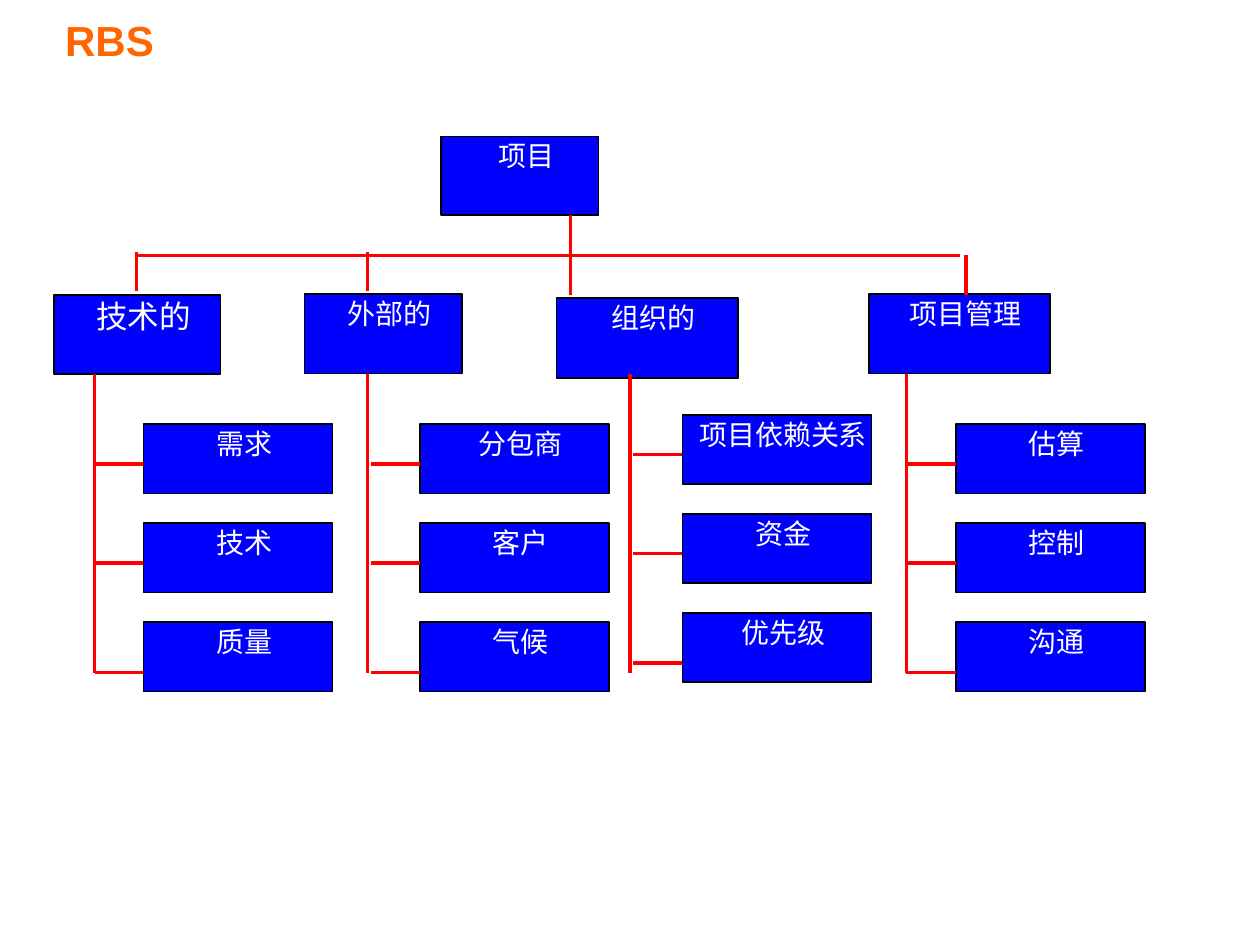
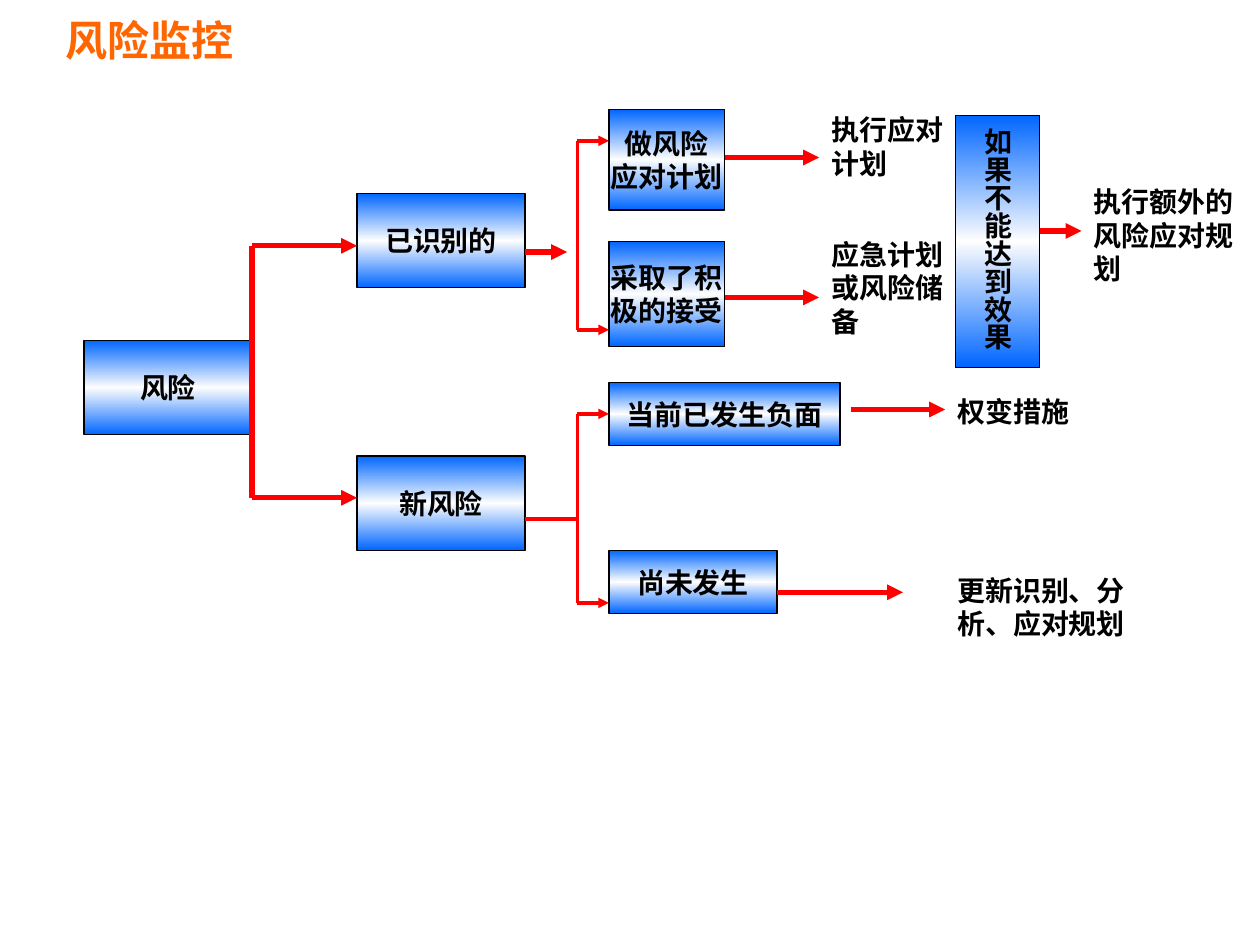
from copy import deepcopy
from dataclasses import dataclass

from lxml import etree
from pptx import Presentation
from pptx import util as u
from pptx.dml import color
from pptx.enum import shapes, text
from pptx.oxml import ns


@dataclass(frozen=True)
class Theme:
    """Colours, font and sizes shared by the slides."""
    title: color.RGBColor = color.RGBColor(0xFF, 0x66, 0x00)
    node: color.RGBColor = color.RGBColor(0x00, 0x00, 0xFF)
    edge: color.RGBColor = color.RGBColor(0x00, 0x66, 0xFF)
    glow: color.RGBColor = color.RGBColor(0xFE, 0xFE, 0xFE)
    link: color.RGBColor = color.RGBColor(0xFF, 0x00, 0x00)
    black: color.RGBColor = color.RGBColor(0x00, 0x00, 0x00)
    white: color.RGBColor = color.RGBColor(0xFF, 0xFF, 0xFF)
    font: str = "Arial"
    title_size: float = 24
    large_size: float = 18
    body_size: float = 16
    thin: float = 2
    thick: float = 3


T = Theme()
CENTER, LEFT = text.PP_ALIGN.CENTER, text.PP_ALIGN.LEFT
TOP, MIDDLE = text.MSO_ANCHOR.TOP, text.MSO_ANCHOR.MIDDLE
NODE_FRAME = dict(word_wrap=True, vertical_anchor=TOP, margin_left=u.Pt(8.6),
                  margin_top=u.Pt(1.4), margin_right=u.Pt(1.4), margin_bottom=u.Pt(1.4))
STEP_FRAME = dict(word_wrap=False, vertical_anchor=MIDDLE)
LABEL_FRAME = dict(word_wrap=True, auto_size=text.MSO_AUTO_SIZE.SHAPE_TO_FIT_TEXT)
TITLE_FRAME = dict(word_wrap=True, vertical_anchor=MIDDLE,
                   auto_size=text.MSO_AUTO_SIZE.NONE)


def apply(obj, values):
    """Set each attribute named in values on obj."""
    for name, value in values.items():
        setattr(obj, name, value)


def pts(*lengths):
    """Convert numbers to point lengths."""
    return [u.Pt(n) for n in lengths]


def write(sp, words, frame, ink, size=T.body_size, bold=False, align=LEFT):
    """Fill a shape with formatted text."""
    tf = sp.text_frame
    tf.text = words
    apply(tf, frame)
    for p in tf.paragraphs:
        p.alignment = align
        for r in p.runs:
            apply(r.font, dict(name=T.font, size=u.Pt(size), bold=bold))
            r.font.color.rgb = ink


def add_slide(prs, heading):
    """Add a slide with the shared title style."""
    slide = prs.slides.add_slide(prs.slide_layouts[5])
    sp = slide.shapes.title
    apply(sp, dict(zip(("left", "top", "width", "height"), pts(30, 0, 330, 45))))
    write(sp, heading, TITLE_FRAME, T.title, T.title_size, True)
    return slide


def add_box(slide, box, weight):
    """Add an outlined rectangle without a shadow."""
    sp = slide.shapes.add_shape(shapes.MSO_SHAPE.RECTANGLE, *pts(*box))
    sp.shadow.inherit = False
    sp.line.color.rgb = T.black
    sp.line.width = u.Pt(weight)
    return sp


def add_node(slide, words, box, size=T.body_size):
    """Add a solid node of the breakdown tree."""
    sp = add_box(slide, box, 1)
    sp.fill.solid()
    sp.fill.fore_color.rgb = T.node
    write(sp, words, NODE_FRAME, T.white, size, align=CENTER)


def add_step(slide, words, box, vertical=False):
    """Add a gradient step of the risk flow."""
    sp = add_box(slide, box, 0.75)
    fill = sp.fill
    fill.gradient()
    fill.gradient_angle = 90
    gs_list = sp._element.spPr.find(".//" + ns.qn("a:gsLst"))
    gs_list.insert(1, deepcopy(gs_list[0]))
    for stop, position, rgb in zip(fill.gradient_stops, (0, 0.5, 1), (T.edge, T.glow, T.edge)):
        stop.position = position
        stop.color.rgb = rgb
    write(sp, words, STEP_FRAME, T.black, bold=True, align=CENTER)
    if vertical:
        sp.text_frame._txBody.bodyPr.set("vert", "eaVert")


def add_label(slide, words, box):
    """Add a bold outcome label."""
    sp = slide.shapes.add_textbox(*pts(*box))
    write(sp, words, LABEL_FRAME, T.black, bold=True)


def add_line(slide, x1, y1, x2, y2, weight=T.thin, arrow=False):
    """Add a straight link, with an arrowhead if wanted."""
    sp = slide.shapes.add_connector(shapes.MSO_CONNECTOR.STRAIGHT, *pts(x1, y1, x2, y2))
    sp.line.color.rgb = T.link
    sp.line.width = u.Pt(weight)
    if arrow:
        etree.SubElement(sp.line._get_or_add_ln(), ns.qn("a:tailEnd"), type="triangle")
    etree.SubElement(sp._element.spPr, ns.qn("a:effectLst"))


def add_fork(slide, x, target, heights, weight):
    """Add a vertical spine with an arrow at each end."""
    add_line(slide, x, heights[0], x, heights[1], weight)
    for y in heights:
        add_line(slide, x, y, target, y, weight, True)


def add_branch(slide, head, head_box, size, trunk, stub, leaf_x, leaf_y, leaves):
    """Add a branch head with its trunk, stubs and leaves."""
    add_node(slide, head, head_box, size)
    for i, (words, drop) in enumerate(zip(leaves, (22.7, 22.7, 28.7))):
        y = leaf_y + i * 56.6
        add_node(slide, words, (leaf_x, y, 108, 39.6))
        add_line(slide, stub, y + drop, leaf_x, y + drop)
    add_line(slide, trunk, 214, trunk, 384.3)


def build_breakdown(prs):
    """Build the risk breakdown structure."""
    slide = add_slide(prs, "RBS")
    add_node(slide, "项目", (252, 78, 90, 45))
    branches = (
        ("技术的", (31, 168.5, 95, 45.4), T.large_size, 54, 54, 82, 242.4,
         ("需求", "技术", "质量")),
        ("外部的", (174, 168, 90, 45.4), T.body_size, 210, 212, 240, 242.4,
         ("分包商", "客户", "气候")),
        ("组织的", (318, 170.5, 103.6, 45.4), T.body_size, 360, 362, 390, 237,
         ("项目依赖关系", "资金", "优先级")),
        ("项目管理", (496.5, 168, 103.6, 45.4), T.body_size, 518, 518, 546.3, 242.4,
         ("估算", "控制", "沟通")),
    )
    for branch in branches:
        add_branch(slide, *branch)
    add_line(slide, 78, 146, 548.5, 146)
    for x, top, bottom in ((78, 144, 166.5), (210, 144, 166.5),
                           (326, 123, 168.5), (552, 146, 168.5)):
        add_line(slide, x, top, x, bottom)


def build_monitoring(prs):
    """Build the risk monitoring flow."""
    slide = add_slide(prs, "风险监控")
    for words, box in (
        ("风险", (48, 194.5, 96, 54)),
        ("已识别的", (204, 110.5, 96, 54)),
        ("新风险", (204, 260.5, 96, 54)),
        ("做风险\n应对计划", (348, 62.5, 66, 57.5)),
        ("采取了积\n极的接受", (348, 138, 66, 60)),
        ("当前已发生负面", (348, 218.5, 132, 36)),
        ("尚未发生", (348, 314.5, 96, 36)),
    ):
        add_step(slide, words, box)
    add_step(slide, "如果不能达到效果", (546, 66, 48, 144), vertical=True)
    add_fork(slide, 144, 204, (140.5, 284.5), T.thick)
    add_fork(slide, 330, 348, (80.5, 188.5), T.thin)
    add_fork(slide, 330, 348, (236.5, 344.5), T.thin)
    add_line(slide, 300, 296.5, 330, 296.5)
    for x1, x2, y in ((300, 324, 144), (414, 468, 90), (414, 468, 170),
                      (486, 540, 234), (444, 516, 338.5), (594, 618, 132)):
        add_line(slide, x1, y, x2, y, T.thick, True)
    for words, box in (
        ("执行应对计划", (468, 61, 84, 46)),
        ("应急计划或风险储备", (468, 132, 84, 65)),
        ("执行额外的风险应对规划", (618, 102, 102, 65)),
        ("权变措施", (540, 222, 102, 26.5)),
        ("更新识别、分析、应对规划", (540, 324, 114, 46)),
    ):
        add_label(slide, words, box)


def main():
    """Build and save the presentation."""
    prs = Presentation()
    apply(prs, dict(slide_width=u.Pt(720), slide_height=u.Pt(540)))
    build_breakdown(prs)
    build_monitoring(prs)
    prs.save("out.pptx")


if __name__ == "__main__":
    main()
